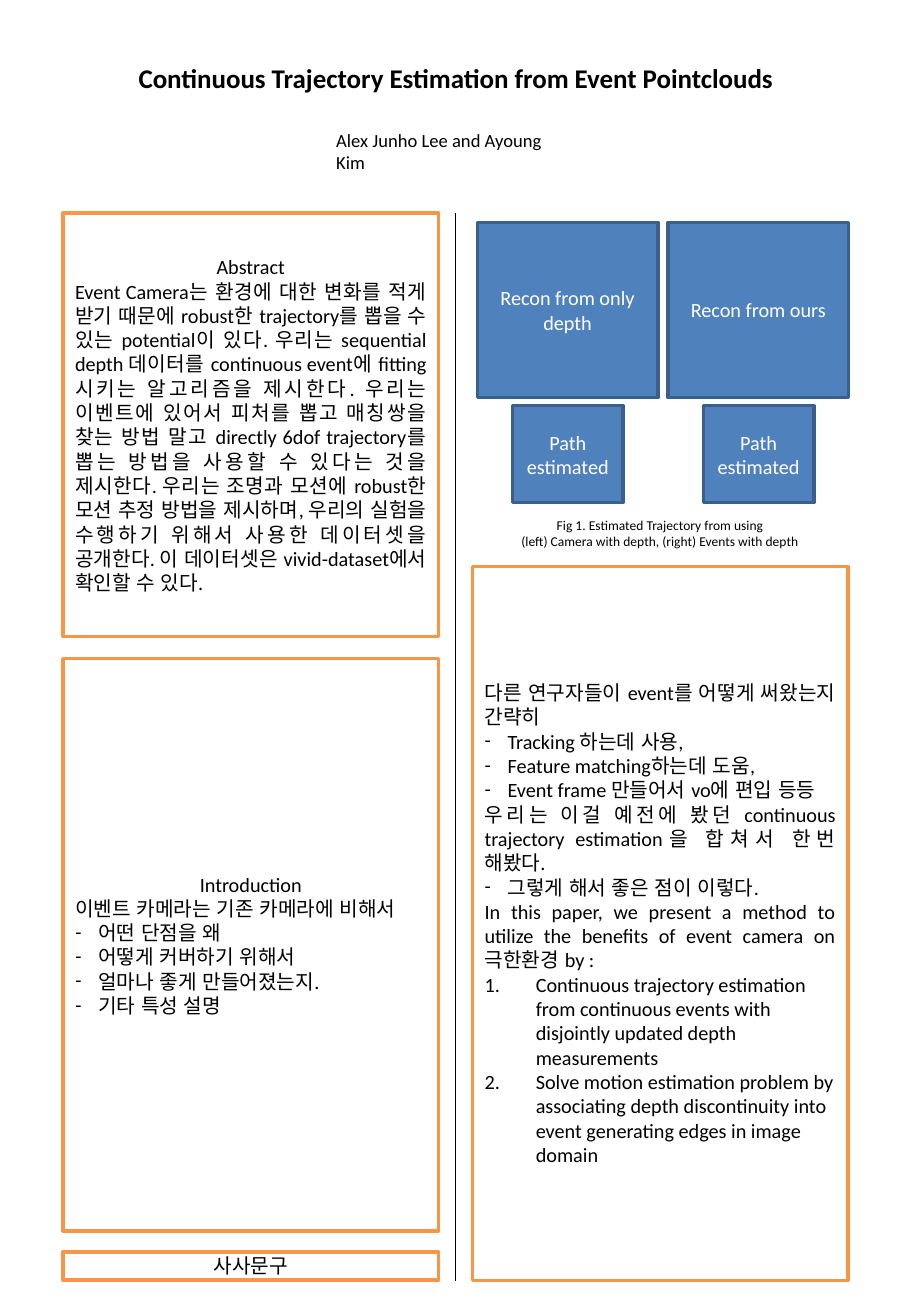
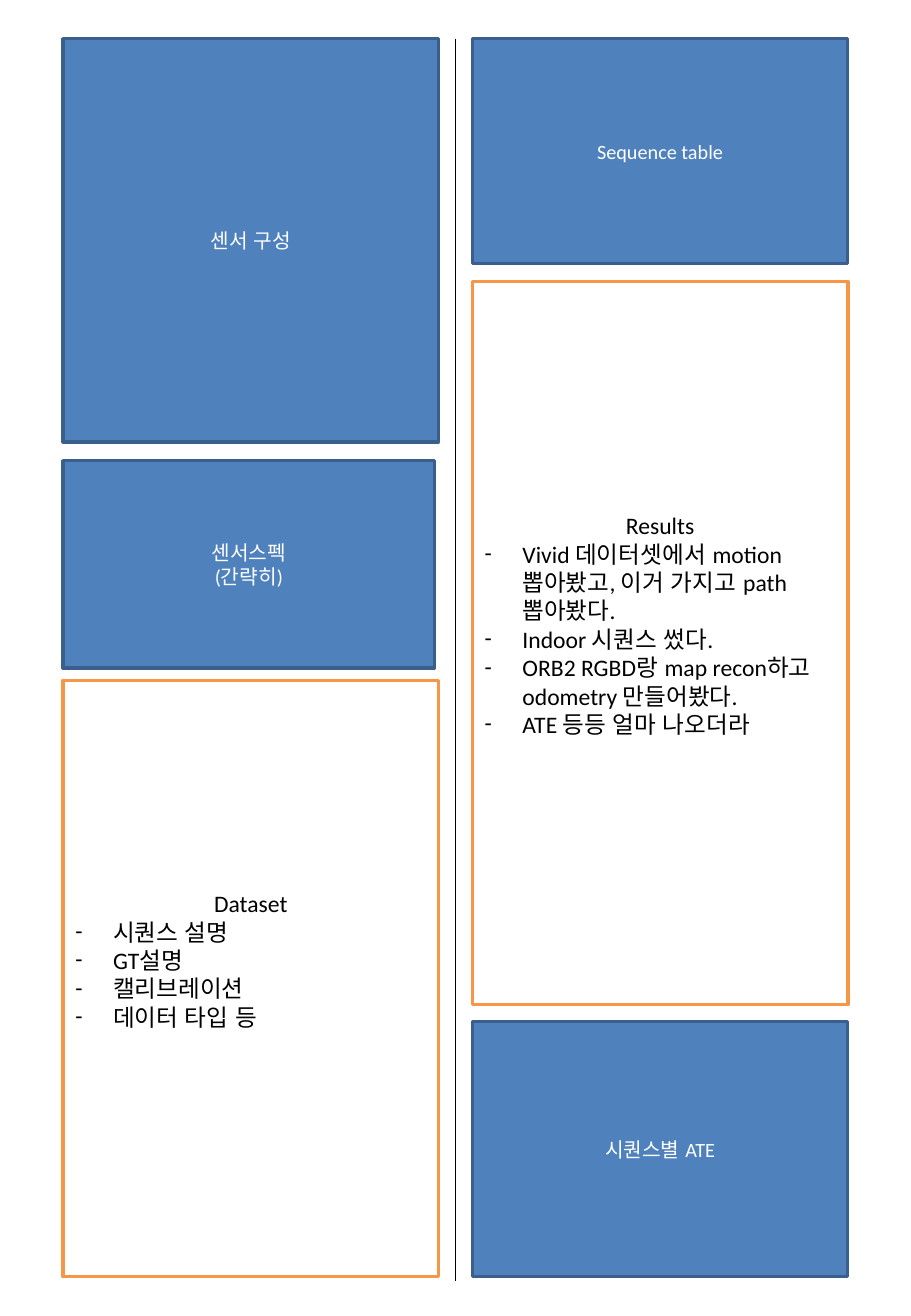
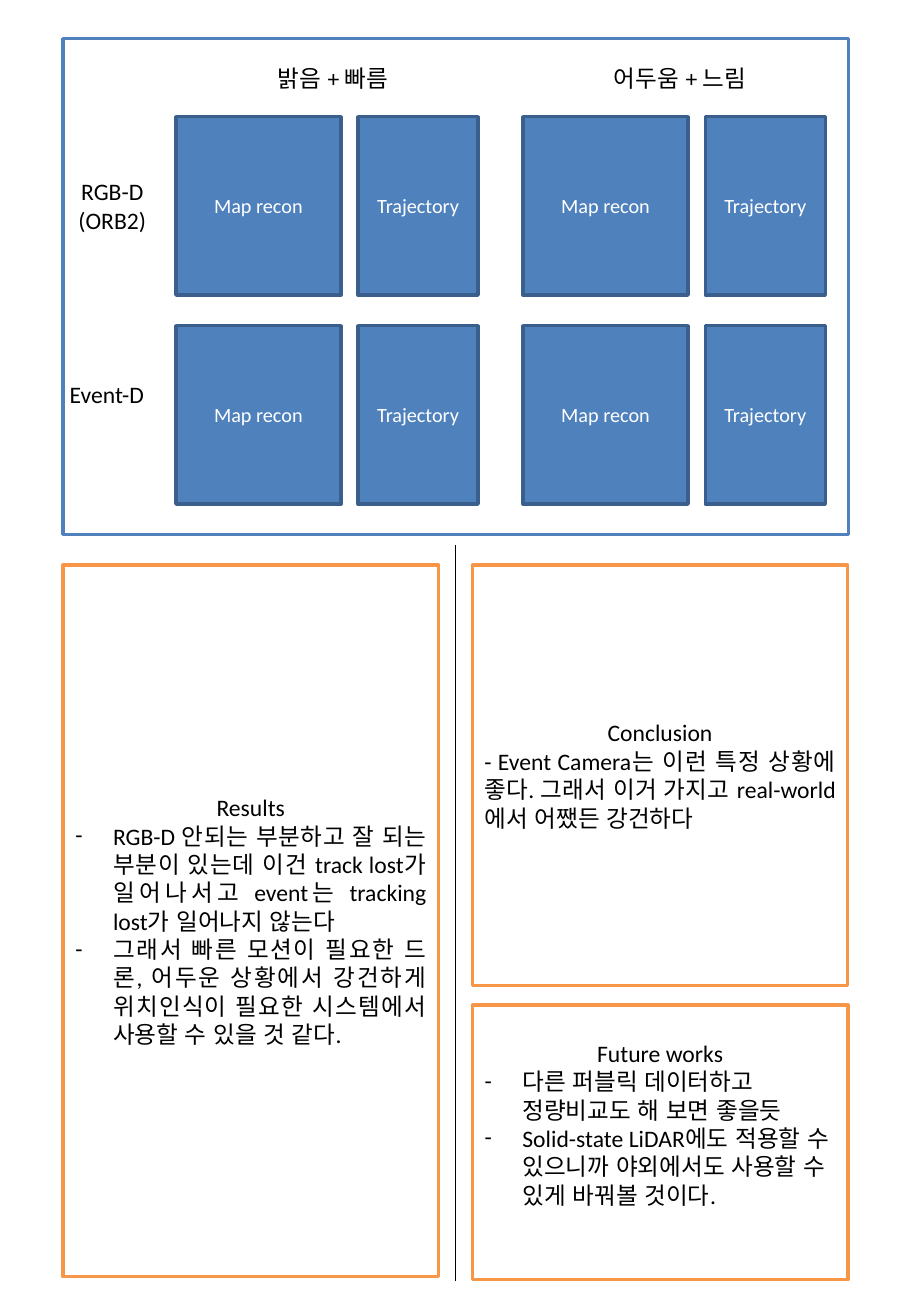
from dataclasses import dataclass

import lxml.etree
import pptx
import pptx.dml.color
import pptx.enum.lang
import pptx.enum.shapes
import pptx.enum.text
import pptx.oxml.ns
import pptx.util

# Shared look
Color = pptx.dml.color.RGBColor
Align = pptx.enum.text.PP_ALIGN
WHITE = Color(0xFF, 0xFF, 0xFF)
BLACK = Color(0x00, 0x00, 0x00)
BLUE = Color(0x4F, 0x81, 0xBD)
NAVY = Color(0x3A, 0x5F, 0x8C)
ORANGE = Color(0xF7, 0x96, 0x46)
FONT = "Calibri"

# Page columns, in cm
LEFT, RIGHT, MID = 1.32, 9.88, 9.53
COL, FULL = 7.85, 16.43
TOP, FOOT = 0.81, 26.77
DASH, NUMBER = "-", "1."


@dataclass(frozen=True)
class Area:
    x: float
    y: float
    w: float
    h: float


@dataclass(frozen=True)
class Para:
    text: str
    align: Align = Align.CENTER
    mark: str = ""
    dent: float = 0


@dataclass(frozen=True)
class Look:
    fill: Color
    edge: Color
    ink: Color


@dataclass(frozen=True)
class Panel:
    area: Area
    paras: list[Para]
    size: float = 12
    foot: float = 0.13


PAPER = Look(WHITE, ORANGE, BLACK)
FRAME = Look(WHITE, BLUE, BLACK)
FIGURE = Look(BLUE, NAVY, WHITE)


# Text
def block(text: str) -> Para:
    return Para(text, Align.JUSTIFY)


def items(*texts: str, align: Align = Align.LEFT, mark: str = DASH,
          dent: float = 0.79) -> list[Para]:
    return [Para(text, align, mark, dent) for text in texts]


def notes(*texts: str) -> list[Para]:
    return items(*texts, align=Align.JUSTIFY, dent=0.48)


def set_mark(line, para: Para) -> None:
    props = line._p.get_or_add_pPr()
    dent = pptx.util.Cm(para.dent)
    props.set("marL", str(dent))
    props.set("indent", str(-dent))

    def add(tag: str, **attrs: str) -> None:
        lxml.etree.SubElement(props, pptx.oxml.ns.qn(tag), **attrs)

    if not para.mark:
        add("a:buNone")
        return
    add("a:buFont", typeface=FONT)
    if para.mark == NUMBER:
        add("a:buAutoNum", type="arabicPeriod")
    else:
        add("a:buChar", char=para.mark)


def write(frame, paras: list[Para], size: float, ink: Color, bold: bool = False) -> None:
    for i, para in enumerate(paras):
        line = frame.paragraphs[0] if i == 0 else frame.add_paragraph()
        line.text = para.text
        line.alignment = para.align
        line.space_before = pptx.util.Pt(0)
        set_mark(line, para)
        font = line.font
        font.name, font.size, font.bold = FONT, pptx.util.Pt(size), bold
        font.color.rgb = ink
        font.language_id = pptx.enum.lang.MSO_LANGUAGE_ID.KOREAN


# Shapes
def lengths(area: Area) -> list[pptx.util.Length]:
    return [pptx.util.Cm(v) for v in (area.x, area.y, area.w, area.h)]


def move(shape, area: Area) -> None:
    shape.left, shape.top, shape.width, shape.height = lengths(area)


def dress(shape, panel: Panel, look: Look) -> None:
    shape.fill.solid()
    shape.fill.fore_color.rgb = look.fill
    shape.line.color.rgb = look.edge
    shape.line.width = pptx.util.Pt(2)
    frame = shape.text_frame
    frame.word_wrap = True
    frame.auto_size = pptx.enum.text.MSO_AUTO_SIZE.NONE
    frame.vertical_anchor = pptx.enum.text.MSO_ANCHOR.MIDDLE
    frame.margin_bottom = pptx.util.Cm(panel.foot)
    write(frame, panel.paras, panel.size, look.ink)


def draw(slide, panel: Panel, look: Look) -> None:
    shape = slide.shapes.add_shape(
        pptx.enum.shapes.MSO_SHAPE.RECTANGLE, *lengths(panel.area))
    shape.shadow.inherit = False
    dress(shape, panel, look)


def figure(slide, area: Area, *texts: str) -> None:
    draw(slide, Panel(area, [Para(text) for text in texts]), FIGURE)


def fill_body(slide, *panels: Panel) -> None:
    for i, panel in enumerate(panels, 1):
        body = slide.placeholders[i]
        move(body, panel.area)
        dress(body, panel, PAPER)


def label(slide, area: Area, *texts: str, size: float = 14, wrap: bool = True) -> None:
    frame = slide.shapes.add_textbox(*lengths(area)).text_frame
    frame.word_wrap = wrap
    align = Align.CENTER if wrap else Align.LEFT
    write(frame, [Para(text, align) for text in texts], size, BLACK)


def rule(slide, top: float) -> None:
    x = pptx.util.Cm(MID)
    line = slide.shapes.add_connector(
        pptx.enum.shapes.MSO_CONNECTOR.STRAIGHT,
        x, pptx.util.Cm(top), x, pptx.util.Cm(FOOT))
    line.line.color.rgb = BLACK
    line.line.width = pptx.util.Pt(0.75)
    lxml.etree.SubElement(line.element.spPr, pptx.oxml.ns.qn("a:effectLst"))


def new_slide(deck, top: float, title: str = ""):
    slide = deck.slides.add_slide(deck.slide_layouts[3])
    head = slide.shapes.title
    if title:
        move(head, Area(LEFT, 0.71, FULL, 1.85))
        head.text_frame.vertical_anchor = pptx.enum.text.MSO_ANCHOR.MIDDLE
        write(head.text_frame, [Para(title)], 16, BLACK, bold=True)
    else:
        head.element.getparent().remove(head.element)
    rule(slide, top)
    return slide


deck = pptx.Presentation()
deck.slide_width = pptx.util.Cm(19.05)
deck.slide_height = pptx.util.Cm(27.51)

# Slide 1: abstract and introduction
slide = new_slide(deck, 4.45, "Continuous Trajectory Estimation from Event Pointclouds")
label(slide, Area(6.78, 2.57, 5.49, 0.71), "Alex Junho Lee and Ayoung Kim",
      size=11, wrap=False)
draw(slide, Panel(Area(LEFT, 4.45, COL, 8.86), [
    Para("Abstract"),
    block("Event Camera는 환경에 대한 변화를 적게 받기 때문에 robust한 trajectory를 "
          "뽑을 수 있는 potential이 있다. 우리는 sequential depth 데이터를 continuous "
          "event에 fitting시키는 알고리즘을 제시한다. 우리는 이벤트에 있어서 피처를 "
          "뽑고 매칭쌍을 찾는 방법 말고 directly 6dof trajectory를 뽑는 방법을 사용할 "
          "수 있다는 것을 제시한다. 우리는 조명과 모션에 robust한 모션 추정 방법을 "
          "제시하며, 우리의 실험을 수행하기 위해서 사용한 데이터셋을 공개한다. 이 "
          "데이터셋은 vivid-dataset에서 확인할 수 있다."),
]), PAPER)
fill_body(
    slide,
    Panel(Area(LEFT, 13.77, COL, 11.96), [
        Para("Introduction"),
        block("이벤트 카메라는 기존 카메라에 비해서"),
        *notes("어떤 단점을 왜", "어떻게 커버하기 위해서",
               "얼마나 좋게 만들어졌는지.", "기타 특성 설명"),
    ]),
    Panel(Area(RIGHT, 11.84, COL, 14.93), [
        block("다른 연구자들이 event를 어떻게 써왔는지 간략히"),
        *notes("Tracking 하는데 사용,", "Feature matching하는데 도움,",
               "Event frame 만들어서 vo에 편입 등등"),
        block("우리는 이걸 예전에 봤던 continuous trajectory estimation을 합쳐서 "
              "한번 해봤다."),
        *notes("그렇게 해서 좋은 점이 이렇다."),
        block("In this paper, we present a method to utilize the benefits of event "
              "camera on 극한환경 by :"),
        *items("Continuous trajectory estimation from continuous events with "
               "disjointly updated depth measurements",
               "Solve motion estimation problem by associating depth discontinuity "
               "into event generating edges in image domain",
               mark=NUMBER, dent=1.07),
    ]),
)
draw(slide, Panel(Area(LEFT, 26.17, COL, 0.59), [Para("사사문구")]), PAPER)
label(slide, Area(RIGHT, 10.69, COL, 0.91), "Fig 1. Estimated Trajectory from using",
      "(left) Camera with depth, (right) Events with depth", size=8)
for i, name in enumerate(["Recon from only depth", "Recon from ours"]):
    x = 9.98 + i * 3.99
    figure(slide, Area(x, 4.65, 3.78, 3.66), name)
    figure(slide, Area(x + 0.74, 8.48, 2.31, 2.03), "Path estimated")

# Slide 2: sensors, dataset and results
slide = new_slide(deck, TOP)
fill_body(
    slide,
    Panel(Area(LEFT, 14.22, COL, 12.47), [
        Para("Dataset"),
        *items("시퀀스 설명", "GT설명", "캘리브레이션", "데이터 타입 등"),
    ], 14, 0.9),
    Panel(Area(RIGHT, 5.89, COL, 15.11), [
        Para("Results"),
        *items("Vivid 데이터셋에서 motion 뽑아봤고, 이거 가지고 path 뽑아봤다.",
               "Indoor 시퀀스 썼다.",
               "ORB2 RGBD랑 map recon하고 odometry 만들어봤다.",
               "ATE 등등 얼마 나오더라"),
    ], 14, 0.9),
)
figure(slide, Area(LEFT, TOP, COL, 8.43), "센서 구성")
figure(slide, Area(LEFT, 9.63, 7.77, 4.34), "센서스펙", "(간략히)")
figure(slide, Area(RIGHT, TOP, COL, 4.7), "Sequence table")
figure(slide, Area(RIGHT, 21.36, COL, 5.33), "시퀀스별 ATE")

# Slide 3: comparison grid and conclusion
slide = new_slide(deck, 11.4)
draw(slide, Panel(Area(LEFT, TOP, FULL, 10.36), []), FRAME)
fill_body(
    slide,
    Panel(Area(LEFT, 11.81, COL, 14.88), [
        Para("Results"),
        *items("RGB-D 안되는 부분하고 잘 되는 부분이 있는데 이건 track lost가 "
               "일어나서고 event는 tracking lost가 일어나지 않는다",
               "그래서 빠른 모션이 필요한 드론, 어두운 상황에서 강건하게 위치인식이 "
               "필요한 시스템에서 사용할 수 있을 것 같다.", align=Align.JUSTIFY),
    ], 14),
    Panel(Area(RIGHT, 21.01, COL, 5.74), [
        Para("Future works"),
        *items("다른 퍼블릭 데이터하고 정량비교도 해 보면 좋을듯",
               "Solid-state LiDAR에도 적용할 수 있으니까 야외에서도 사용할 수 있게 "
               "바꿔볼 것이다."),
    ], 14, 0.9),
)
draw(slide, Panel(Area(RIGHT, 11.81, COL, 8.79), [
    Para("Conclusion"),
    block("- Event Camera는 이런 특정 상황에 좋다. 그래서 이거 가지고 "
          "real-world에서 어쨌든 강건하다"),
], 14), PAPER)
label(slide, Area(LEFT, 3.58, 2.06, 1.42), "RGB-D", "(ORB2)")
label(slide, Area(0.99, 7.82, 2.49, 0.84), "Event-D")
for i, name in enumerate(["밝음 + 빠름", "어두움 + 느림"]):
    x = 3.68 + i * 7.26
    label(slide, Area(x + 1.5, 1.21, 3.56, 0.84), name)
    for y in (2.44, 6.81):
        figure(slide, Area(x, y, 3.45, 3.73), "Map recon")
        figure(slide, Area(x + 3.81, y, 2.51, 3.73), "Trajectory")

deck.save("out.pptx")
